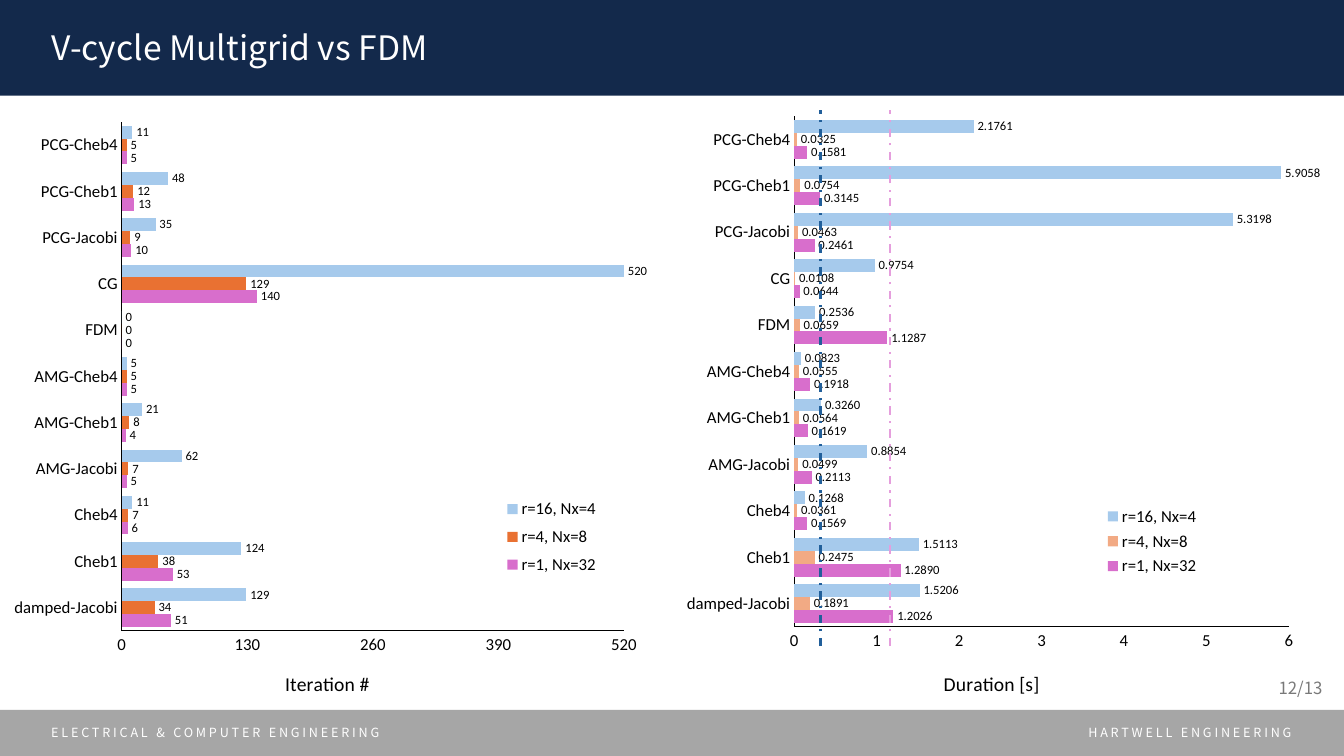
"""Build the slide that compares V-cycle multigrid solvers with FDM."""
from dataclasses import dataclass

from lxml.etree import SubElement
from pptx import Presentation
from pptx.chart.data import CategoryChartData as ChartData
from pptx.dml.color import RGBColor
from pptx.enum.chart import XL_CHART_TYPE as Kind
from pptx.enum.chart import XL_LABEL_POSITION as Spot
from pptx.enum.chart import XL_LEGEND_POSITION as Side
from pptx.enum.chart import XL_TICK_MARK as Tick
from pptx.enum.dml import MSO_LINE as Dash
from pptx.enum.shapes import MSO_CONNECTOR as Link
from pptx.enum.shapes import MSO_SHAPE as Form
from pptx.enum.text import MSO_ANCHOR as Anchor
from pptx.enum.text import MSO_AUTO_SIZE as Fit
from pptx.enum.text import PP_ALIGN as Align
from pptx.oxml.ns import qn
from pptx.util import Pt

Box = tuple[float, float, float, float]

SANS = "Noto Sans CJK SC"
BODY = "Calibri"
BLACK = "000000"
WHITE = "FFFFFF"
CASES = ["r=1, Nx=32", "r=4, Nx=8", "r=16, Nx=4"]
SOLVERS = ["damped-Jacobi", "Cheb1", "Cheb4", "AMG-Jacobi", "AMG-Cheb1", "AMG-Cheb4",
           "FDM", "CG", "PCG-Jacobi", "PCG-Cheb1", "PCG-Cheb4"]


@dataclass
class Band:
    box: Box
    hue: str


@dataclass
class Note:
    text: str
    box: Box
    size: float
    hue: str = WHITE
    align: Align = Align.LEFT
    gap: int = 0


@dataclass
class Mark:
    x: float
    hue: str


@dataclass
class Graph:
    label: str
    box: Box
    plot: Box
    key: Box
    head: tuple[float, float]
    top: float
    step: float
    form: str
    hues: list[str]
    rows: list[list[float]]


BANDS = [Band((0, 507, 960, 33), "A6A6A6"), Band((0, 0, 960, 68.4), "13294B")]
TITLE = Note("V-cycle Multigrid vs FDM", (29.5, 15.8, 859, 36), 24)
NOTES = [
    Note("HARTWELL ENGINEERING", (735, 514, 194.5, 18), 9, align=Align.RIGHT, gap=200),
    Note("ELECTRICAL & COMPUTER ENGINEERING", (29.5, 514, 629, 18), 9, gap=200),
    Note("12/13", (735.8, 476.6, 216, 28.8), 12, "797979", Align.RIGHT),
]
MARKS = [Mark(635.8, "E59EDD"), Mark(586.1, "215F9A")]
GRAPHS = [
    Graph("Iteration #", (0, 78.5, 543.6, 432.7), (0.16, 0.02, 0.66, 0.84),
          (0.66, 0.63, 0.13, 0.15), (0.37, 0.92), 520, 130, "General",
          ["D86ECC", "E97132", "A6CAEC"],
          [[51, 53, 6, 5, 4, 5, 0, 140, 10, 13, 5],
           [34, 38, 7, 7, 8, 5, 0, 129, 9, 12, 5],
           [129, 124, 11, 62, 21, 5, 0, 520, 35, 48, 11]]),
    Graph("Duration [s]", (480.2, 74.2, 531.4, 437), (0.164, 0.02, 0.665, 0.835),
          (0.58, 0.65, 0.13, 0.13), (0.36, 0.92), 6, 1, "#,##0.0000",
          ["D86ECC", "F2AA84", "A6CAEC"],
          [[1.2026, 1.289, 0.1569, 0.2113, 0.1619, 0.1918, 1.1287, 0.0644, 0.2461,
            0.3145, 0.1581],
           [0.1891, 0.2475, 0.0361, 0.0499, 0.0564, 0.0555, 0.0659, 0.0108, 0.0463,
            0.0754, 0.0325],
           [1.5206, 1.5113, 0.1268, 0.8854, 0.326, 0.0823, 0.2536, 0.9754, 5.3198,
            5.9058, 2.1761]]),
]


def tint(part, hue: str) -> None:
    part.rgb = RGBColor.from_string(hue)


def style(font, size: float, hue: str = BLACK, face: str = BODY) -> None:
    font.size, font.name, font.bold = Pt(size), face, False
    tint(font.color, hue)


def place(shape, box: Box) -> None:
    shape.left, shape.top, shape.width, shape.height = map(Pt, box)


def write(shape, note: Note) -> None:
    frame = shape.text_frame
    frame.word_wrap, frame.auto_size = True, Fit.NONE
    frame.vertical_anchor = Anchor.MIDDLE
    line = frame.paragraphs[0]
    line.alignment = note.align
    run = line.add_run()
    run.text = note.text
    style(run.font, note.size, note.hue, SANS)
    if note.gap:
        run._r.get_or_add_rPr().set("spc", str(note.gap))


def draw_band(slide, band: Band) -> None:
    shape = slide.shapes.add_shape(Form.RECTANGLE, *map(Pt, band.box))
    shape.shadow.inherit = False
    shape.fill.solid()
    tint(shape.fill.fore_color, band.hue)
    shape.line.fill.background()


def draw_mark(slide, mark: Mark) -> None:
    line = slide.shapes.add_connector(Link.STRAIGHT, Pt(mark.x), Pt(461.5), Pt(mark.x), Pt(78.5))
    tint(line.line.color, mark.hue)
    line.line.width, line.line.dash_style = Pt(1.5), Dash.DASH_DOT
    SubElement(line._element.spPr, qn("a:effectLst"))


def pin(node, index: int, spot: tuple[float, ...], inner: bool = False) -> None:
    for old in node.findall(qn("c:layout")):
        node.remove(old)
    layout = SubElement(node, qn("c:layout"))
    node.insert(index, layout)
    manual = SubElement(layout, qn("c:manualLayout"))
    pairs = [("layoutTarget", "inner")] if inner else []
    pairs += [("xMode", "edge"), ("yMode", "edge"), *zip("xywh", map(str, spot))]
    for tag, val in pairs:
        SubElement(manual, qn(f"c:{tag}")).set("val", val)


def draw_graph(slide, graph: Graph) -> None:
    data = ChartData(number_format=graph.form)
    data.categories = SOLVERS
    for name, row in zip(CASES, graph.rows):
        data.add_series(name, row)
    chart = slide.shapes.add_chart(Kind.BAR_CLUSTERED, *map(Pt, graph.box), data).chart
    chart.has_title = False
    style(chart.font, 10, face=SANS)

    plot = chart.plots[0]
    plot.gap_width, plot.overlap, plot.vary_by_categories = 60, 0, False
    for bars, hue in zip(plot.series, graph.hues):
        bars.format.fill.solid()
        tint(bars.format.fill.fore_color, hue)
        tags = bars.data_labels
        tags.show_value, tags.position = True, Spot.OUTSIDE_END
        tags.number_format, tags.number_format_is_linked = graph.form, False
        style(tags.font, 9)

    for axis in (chart.category_axis, chart.value_axis):
        axis.has_major_gridlines = False
        axis.major_tick_mark = axis.minor_tick_mark = Tick.NONE
        style(axis.tick_labels.font, 12)
        axis.format.line.width = Pt(0.75)
        tint(axis.format.line.color, BLACK)
    scale = chart.value_axis
    scale.minimum_scale, scale.maximum_scale, scale.major_unit = 0, graph.top, graph.step
    scale.tick_labels.number_format = "General"
    scale.tick_labels.number_format_is_linked = False
    run = scale.axis_title.text_frame.paragraphs[0].add_run()
    run.text = graph.label
    style(run.font, 14)

    chart.has_legend = True
    key = chart.legend
    key.position, key.include_in_layout = Side.RIGHT, False
    style(key.font, 12)
    pin(chart._chartSpace.chart.plotArea, 0, graph.plot, True)
    pin(key._element, 1, graph.key)
    pin(scale.axis_title._element, 1, graph.head)


def main() -> None:
    deck = Presentation()
    deck.slide_width, deck.slide_height = Pt(960), Pt(540)
    slide = deck.slides.add_slide(deck.slide_layouts[5])
    for band in BANDS:
        draw_band(slide, band)
    title = slide.shapes.title
    slide.shapes._spTree.append(title._element)
    place(title, TITLE.box)
    write(title, TITLE)
    for graph in GRAPHS:
        draw_graph(slide, graph)
    for note in NOTES:
        write(slide.shapes.add_textbox(*map(Pt, note.box)), note)
    for mark in MARKS:
        draw_mark(slide, mark)
    deck.save("out.pptx")


if __name__ == "__main__":
    main()
